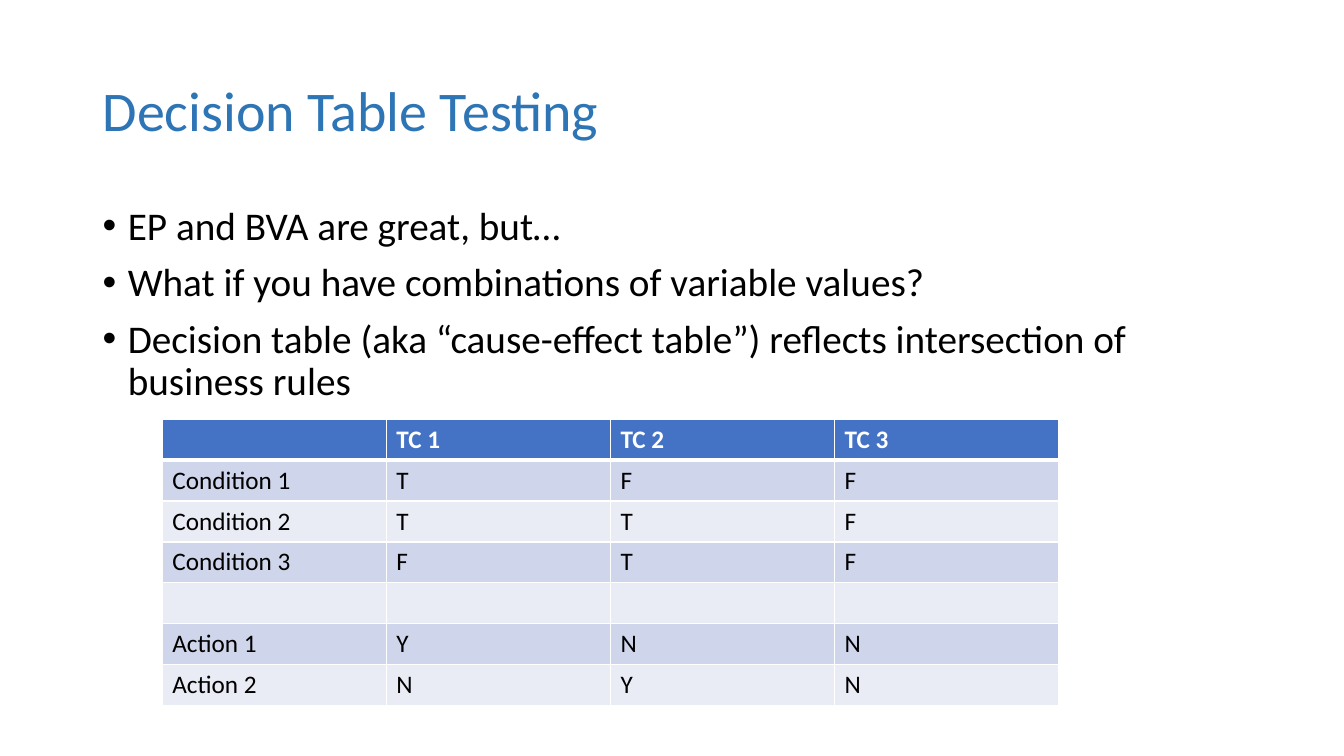
"""Build the Decision Table Testing slide."""
from lxml import etree
from pptx import Presentation
from pptx import util as u
from pptx.dml.color import RGBColor
from pptx.enum import text
from pptx.oxml import ns


class Theme:
    font = "Calibri"
    title, body, cell = 40, 28, 18
    blue, black, white = "2E75B6", "000000", "FFFFFF"
    header, bands = "4472C4", ("E9EBF5", "CFD5EA")
    thin, thick = 1, 3


def add_run(p, wording, size, color, bold=False):
    r = p.add_run()
    r.text = wording
    r.font.name = Theme.font
    r.font.size = u.Pt(size)
    r.font.bold = bold
    r.font.color.rgb = RGBColor.from_string(color)


def add_border(tc_pr, side, width):
    ln = etree.SubElement(tc_pr, ns.qn(f"a:ln{side}"), w=str(u.Pt(width)))
    fill = etree.SubElement(ln, ns.qn("a:solidFill"))
    etree.SubElement(fill, ns.qn("a:srgbClr"), val=Theme.white)


prs = Presentation()
prs.slide_width, prs.slide_height = u.Inches(13.33), u.Inches(7.5)
s = prs.slides.add_slide(prs.slide_layouts[6])

sp = s.shapes.add_textbox(u.Inches(0.92), u.Inches(0.4), u.Inches(11.5), u.Inches(1.45))
tf = sp.text_frame
tf.word_wrap = True
tf.vertical_anchor = text.MSO_ANCHOR.MIDDLE
p = tf.paragraphs[0]
p.line_spacing = 0.9
add_run(p, "Decision Table Testing", Theme.title, Theme.blue)

bullets = [
    "EP and BVA are great, but…",
    "What if you have combinations of variable values?",
    "Decision table (aka “cause-effect table”) reflects intersection of business rules",
]
sp = s.shapes.add_textbox(u.Inches(0.92), u.Inches(2), u.Inches(11.5), u.Inches(4.76))
tf = sp.text_frame
tf.word_wrap = True
for i, bullet in enumerate(bullets):
    p = tf.add_paragraph() if i else tf.paragraphs[0]
    p.line_spacing = 0.9
    p.space_before = u.Pt(10)
    p_pr = p._p.get_or_add_pPr()
    p_pr.set("marL", str(u.Inches(0.25)))
    p_pr.set("indent", str(-u.Inches(0.25)))
    etree.SubElement(p_pr, ns.qn("a:buFont"), typeface="Arial")
    etree.SubElement(p_pr, ns.qn("a:buChar"), char="•")
    add_run(p, bullet, Theme.body, Theme.black)

rows = [
    ("", "TC 1", "TC 2", "TC 3"),
    ("Condition 1", "T", "F", "F"),
    ("Condition 2", "T", "T", "F"),
    ("Condition 3", "F", "T", "F"),
    ("", "", "", ""),
    ("Action 1", "Y", "N", "N"),
    ("Action 2", "N", "Y", "N"),
]
table = s.shapes.add_table(
    len(rows), len(rows[0]), u.Inches(1.61), u.Inches(4.16), u.Inches(8.89), u.Inches(2.84)
).table
for i, row in enumerate(rows):
    is_header = i == 0
    for j, wording in enumerate(row):
        cell = table.cell(i, j)
        tc_pr = cell._tc.get_or_add_tcPr()
        for side in "LRTB":
            under_header = (i, side) in ((0, "B"), (1, "T"))
            add_border(tc_pr, side, Theme.thick if under_header else Theme.thin)
        cell.fill.solid()
        cell.fill.fore_color.rgb = RGBColor.from_string(
            Theme.header if is_header else Theme.bands[i % 2]
        )
        if wording:
            color = Theme.white if is_header else Theme.black
            add_run(cell.text_frame.paragraphs[0], wording, Theme.cell, color, is_header)

prs.save("out.pptx")
